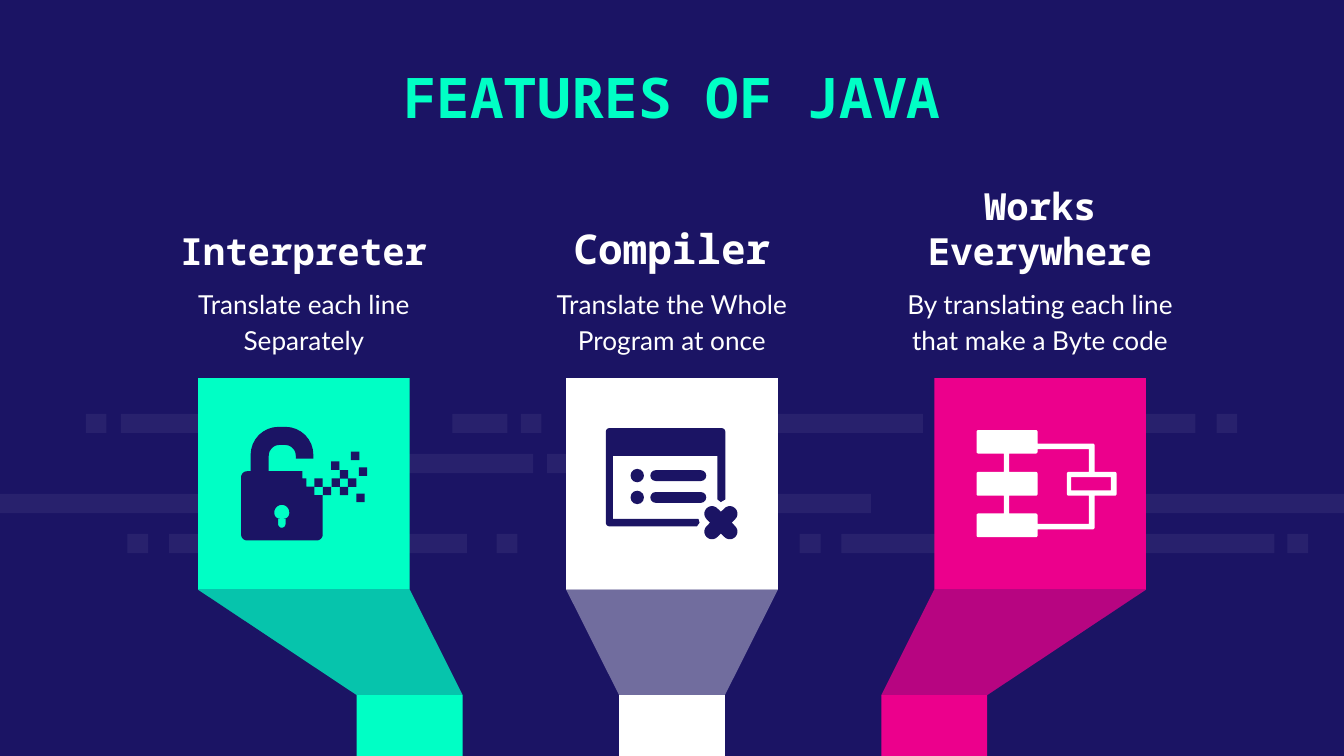
"""Build the slide on the features of Java."""
from math import cos, pi, sin

from lxml.etree import SubElement
from pptx import Presentation
from pptx.dml.color import RGBColor
from pptx.enum.shapes import MSO_SHAPE
from pptx.enum.text import MSO_ANCHOR, PP_ALIGN
from pptx.oxml.ns import qn
from pptx.util import Pt

NAVY = RGBColor(0x1B, 0x14, 0x64)
MINT = RGBColor(0x00, 0xFF, 0xC5)
PINK = RGBColor(0xEC, 0x00, 0x8C)
WHITE = RGBColor(0xFF, 0xFF, 0xFF)
MONO, SANS = "Noto Sans Mono", "Lato"

TITLE = "FEATURES OF JAVA"
FEATURES = [
    ("Interpreter", 20, "Translate each line Separately", [(MINT, 100), (NAVY, 25)]),
    ("Compiler", 22, "Translate the Whole Program at once", [(WHITE, 38)]),
    ("Works Everywhere", 20, "By translating each line that make a Byte code",
     [(PINK, 100), (NAVY, 25)]),
]
DASH_ROWS = [
    [(46, 11), (64.8, 105), (242.4, 29.4), (279, 11), (404, 90.4), (550, 90.4), (651.8, 11)],
    [(215, 70.6), (293.2, 28.8)],
    [(0, 106.4), (360, 106.6), (613.6, 106.4)],
    [(68.2, 11.2), (90.6, 159.6), (266, 11.2), (428.4, 11.2), (450.8, 232), (689.6, 11.2)],
]

LOCK = [
    [(134.3, 252.5), (134.3, 228.7, 15), (167.9, 228.7, 15), (167.9, 245.8), (158.5, 245.8),
     (158.5, 238.4, 5.8), (144, 238.4, 5.8), (144, 252.5), (162, 252.5), (162, 256.3),
     (164.2, 256.3), (164.2, 260.8), (168.5, 260.8), (168.5, 265.3), (172.9, 265.3),
     (172.9, 289.6, 3.2), (129.2, 289.6, 3.2), (129.2, 252.5, 3.2)],
    [(147, 270.5, 4), (155, 270.5, 4), (155, 278, 3), (153, 278), (153, 282.8, 2),
     (149, 282.8, 2), (149, 278), (147, 278, 3)],
]
LOCK_PIXELS = [
    (188, 242), (177.4, 247.2), (192.2, 250.4), (182, 251.9), (168.4, 256.3),
    (177.6, 256.3), (186.4, 256.3), (172.9, 260.8), (182, 260.8), (190.9, 264.5),
]
WINDOW = [
    [(324.6, 229.4, 2), (388.6, 229.4, 2), (388.6, 267.6), (386.2, 269), (384.4, 267.6),
     (384.4, 244.2), (328.4, 244.2), (328.4, 278), (374.2, 278), (374.8, 280), (373.4, 282),
     (324.6, 282, 2)],
]
CROSS = [
    [(386.2, 274.2), (391, 269.5, 4), (396.7, 275.2, 4), (392, 280), (396.7, 284.8, 4),
     (391, 290.5, 4), (386.2, 285.8), (381.4, 290.5, 4), (375.7, 284.8, 4), (380.4, 280),
     (375.7, 275.2, 4), (381.4, 269.5, 4)],
]
FLOWCHART = [
    [(523.2, 230.4, 1), (555.9, 230.4, 1), (555.9, 237.6), (586.4, 237.6, 1), (586.4, 252.8),
     (598.2, 252.8, 1), (598.2, 265.6, 1), (586.4, 265.6), (586.4, 283.6, 1), (555.9, 283.6),
     (555.9, 287.8, 1), (523.2, 287.8, 1), (523.2, 275.1, 1), (537.8, 275.1), (537.8, 265.6),
     (523.2, 265.6, 1), (523.2, 252.8, 1), (537.8, 252.8), (537.8, 243), (523.2, 243, 1)],
    [(573.8, 255.6), (573.8, 262.7), (595.2, 262.7), (595.2, 255.6)],
    [(555.9, 243, 1), (540.7, 243), (540.7, 252.8), (555.9, 252.8, 1), (555.9, 265.6, 1),
     (540.7, 265.6), (540.7, 275.1), (555.9, 275.1, 1), (555.9, 280.7), (583.4, 280.7),
     (583.4, 265.6), (571.6, 265.6, 1), (571.6, 252.8, 1), (583.4, 252.8), (583.4, 240.6),
     (555.9, 240.6)],
]

SLIDE_WIDTH, SLIDE_HEIGHT = 720, 405
TILE, TILE_TOP, TILE_PITCH = 113.4, 202.5, 197.2
FOOT, FOOT_TOP, FOOT_PITCH = 56.7, 372.4, 140.5
TEXT_WIDTH, TEXT_HEIGHT = 162.8, 34
DASH_TOP, DASH_PITCH, DASH_HEIGHT = 221.7, 21.45, 10.3


def paint(shape, color, opacity=100):
    shape.shadow.inherit = False
    shape.fill.solid()
    shape.fill.fore_color.rgb = color
    if opacity < 100:
        tint = next(shape._element.spPr.iter(qn("a:srgbClr")))
        SubElement(tint, qn("a:alpha"), val=str(opacity * 1000))
    shape.line.fill.background()
    return shape


def add_block(page, left, top, width, height, color, opacity=100, kind=MSO_SHAPE.RECTANGLE):
    shape = page.shapes.add_shape(kind, Pt(left), Pt(top), Pt(width), Pt(height))
    return paint(shape, color, opacity)


def round_corners(corners, steps=8):
    """Replace each corner that has a radius by points along an arc."""
    points = []
    for index, (x, y, *radius) in enumerate(corners):
        if not radius:
            points.append((x, y))
            continue
        offsets = []
        for near in (corners[index - 1], corners[(index + 1) % len(corners)]):
            across, down = near[0] - x, near[1] - y
            ratio = radius[0] / (across ** 2 + down ** 2) ** 0.5
            offsets.append((across * ratio, down * ratio))
        (back_x, back_y), (next_x, next_y) = offsets
        for step in range(steps + 1):
            angle = step * pi / 2 / steps
            back, ahead = 1 - sin(angle), 1 - cos(angle)
            points.append((x + back * back_x + ahead * next_x, y + back * back_y + ahead * next_y))
    return points


def add_outline(page, contours, color, opacity=100):
    builder = None
    for corners in contours:
        first, *rest = [(Pt(x), Pt(y)) for x, y in round_corners(corners)]
        if builder is None:
            builder = page.shapes.build_freeform(*first)
        else:
            builder.move_to(*first)
        builder.add_line_segments(rest, close=True)
    return paint(builder.convert_to_shape(), color, opacity)


def add_text(page, area, text, font, frame_format, spacing=1):
    box = page.shapes.add_textbox(*[Pt(length) for length in area])
    frame = box.text_frame
    margins = {"margin_left": Pt(7.2), "margin_right": Pt(7.2),
               "margin_top": Pt(7.2), "margin_bottom": Pt(7.2)}
    for name, value in {"word_wrap": True, **margins, **frame_format}.items():
        setattr(frame, name, value)
    para = frame.paragraphs[0]
    para.alignment, para.line_spacing = PP_ALIGN.CENTER, spacing
    span = para.add_run()
    span.text = text
    color, size, face, bold = font
    for name, value in {"size": Pt(size), "name": face, "bold": bold}.items():
        setattr(span.font, name, value)
    span.font.color.rgb = color


def add_feature(page, column, heading, size, description, funnel_layers):
    middle = SLIDE_WIDTH / 2 + (column - 1) * TILE_PITCH
    foot_middle = SLIDE_WIDTH / 2 + (column - 1) * FOOT_PITCH
    left, foot_left = middle - TILE / 2, foot_middle - FOOT / 2
    tile_bottom = TILE_TOP + TILE
    color = funnel_layers[0][0]
    funnel = [(left, tile_bottom), (left + TILE, tile_bottom),
              (foot_left + FOOT, FOOT_TOP), (foot_left, FOOT_TOP)]
    for layer, opacity in funnel_layers:
        add_outline(page, [funnel], layer, opacity)
    add_block(page, foot_left, FOOT_TOP, FOOT, SLIDE_HEIGHT - FOOT_TOP, color)
    add_block(page, left, TILE_TOP, TILE, TILE, color)
    text_left = middle - TEXT_WIDTH / 2
    add_text(page, (text_left, 112.2, TEXT_WIDTH, TEXT_HEIGHT), heading, (WHITE, size, MONO, True),
             {"vertical_anchor": MSO_ANCHOR.BOTTOM, "margin_bottom": 0})
    add_text(page, (text_left, 152, TEXT_WIDTH, TEXT_HEIGHT), description,
             (WHITE, 14, SANS, False), {"margin_top": 0}, 1.15)


def add_icons(page):
    add_outline(page, LOCK, NAVY)
    for left, top in LOCK_PIXELS:
        add_block(page, left, top, 4.5, 4.5, NAVY)
    add_outline(page, WINDOW, NAVY)
    for center in (254.8, 266.5):
        add_block(page, 337.8, center - 3.6, 7.2, 7.2, NAVY, kind=MSO_SHAPE.OVAL)
        bar = add_block(page, 348.4, center - 2.9, 30, 5.8, NAVY, kind=MSO_SHAPE.ROUNDED_RECTANGLE)
        bar.adjustments[0] = 0.5
    add_outline(page, CROSS, NAVY)
    add_outline(page, FLOWCHART, WHITE)


def main():
    deck = Presentation()
    deck.slide_width, deck.slide_height = Pt(SLIDE_WIDTH), Pt(SLIDE_HEIGHT)
    page = deck.slides.add_slide(deck.slide_layouts[6])
    page.background.fill.solid()
    page.background.fill.fore_color.rgb = NAVY
    for row, dashes in enumerate(DASH_ROWS):
        for left, width in dashes:
            add_block(page, left, DASH_TOP + row * DASH_PITCH, width, DASH_HEIGHT, WHITE, 6)
    add_text(page, (100.8, 26.6, 518.4, 52.6), TITLE, (MINT, 30, MONO, True), {})
    for column, feature in enumerate(FEATURES):
        add_feature(page, column, *feature)
    add_icons(page)
    deck.save("out.pptx")


if __name__ == "__main__":
    main()
